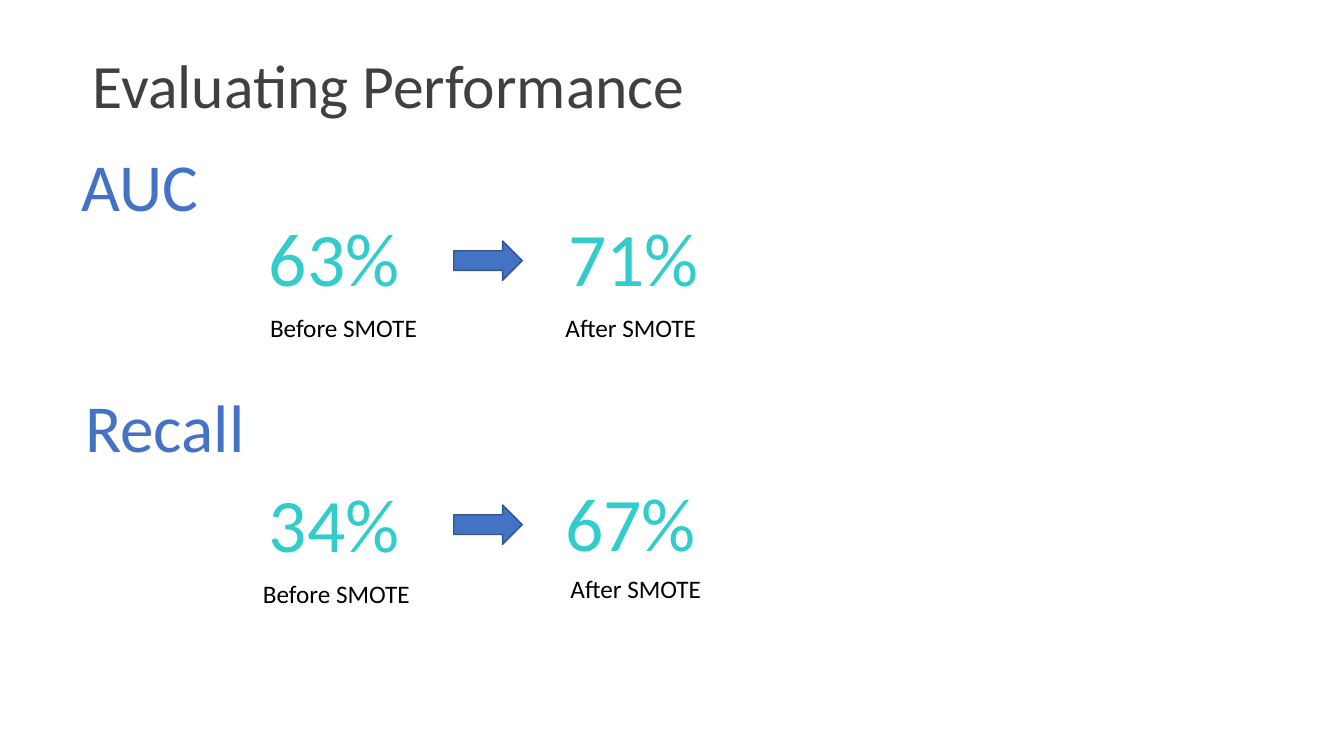
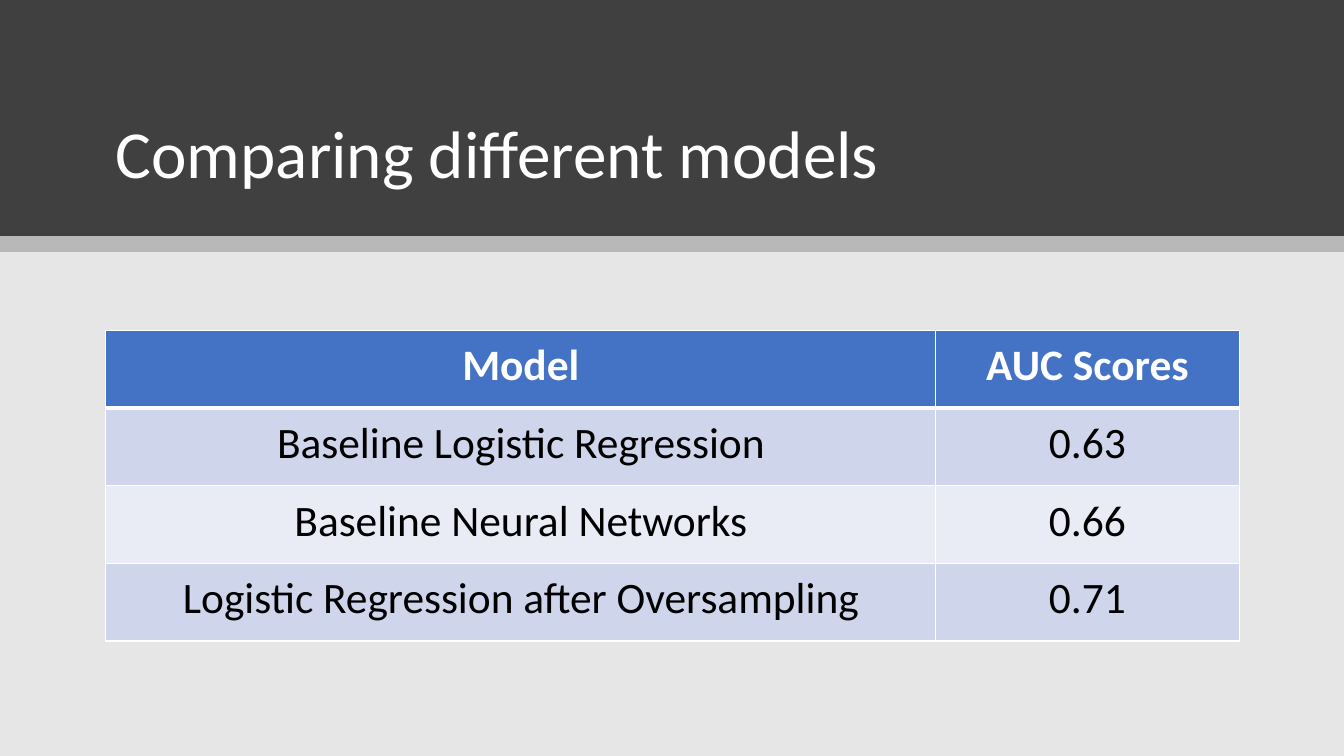
"""Build two slides on model performance before and after SMOTE."""
from dataclasses import dataclass

from lxml.etree import SubElement
from pptx import Presentation
from pptx.dml.color import RGBColor as RGB
from pptx.enum.shapes import MSO_SHAPE as Preset
from pptx.enum.text import MSO_ANCHOR as Anchor, PP_ALIGN as Align
from pptx.oxml.ns import qn
from pptx.util import Inches, Pt


@dataclass(frozen=True)
class Theme:
    font: str = "Calibri"
    dark: RGB = RGB(0x40, 0x40, 0x40)
    pale: RGB = RGB(0xE7, 0xE6, 0xE6)
    white: RGB = RGB(0xFF, 0xFF, 0xFF)
    black: RGB = RGB(0, 0, 0)
    blue: RGB = RGB(0x44, 0x72, 0xC4)
    outline: RGB = RGB(0x32, 0x54, 0x91)
    teal: RGB = RGB(0x33, 0xCC, 0xCC)
    row_odd: RGB = RGB(0xCF, 0xD5, 0xEA)
    row_even: RGB = RGB(0xE9, 0xEB, 0xF5)
    title: int = 44
    heading: int = 48
    score: int = 54
    caption: int = 18
    cell: int = 31


theme = Theme()


def write(frame, text, size, color, align=Align.LEFT, anchor=Anchor.TOP, spacing=None, bold=False):
    frame.word_wrap = True
    frame.vertical_anchor = anchor
    paragraph = frame.paragraphs[0]
    paragraph.alignment = align
    paragraph.line_spacing = spacing
    run = paragraph.add_run()
    run.text = text
    run.font.name = theme.font
    run.font.size = Pt(size)
    run.font.bold = bold
    run.font.color.rgb = color


def draw(slide, preset, box, fill, line=None):
    shape = slide.shapes.add_shape(preset, *map(Inches, box))
    shape.shadow.inherit = False
    shape.fill.solid()
    shape.fill.fore_color.rgb = fill
    if line is None:
        shape.line.fill.background()
    else:
        shape.line.color.rgb = line
        shape.line.width = Pt(1)
    return shape


deck = Presentation()
deck.slide_width, deck.slide_height = Inches(13.33), Inches(7.5)
blank = deck.slide_layouts[6]

performance = deck.slides.add_slide(blank)
title = performance.shapes.add_textbox(*map(Inches, (0.82, 0.37, 11.5, 1.01)))
write(title.text_frame, "Evaluating Performance", theme.title, theme.dark,
      anchor=Anchor.MIDDLE, spacing=0.9)

metrics = [
    ("AUC", (0.11, 1.38), 2.39, [
        ("63%", (2.56, 2.04), "Before SMOTE", (2.58, 3.05)),
        ("71%", (5.53, 2.04), "After SMOTE", (5.51, 3.05))]),
    ("Recall", (0.36, 3.77), 5.01, [
        ("34%", (2.56, 4.68), "Before SMOTE", (2.51, 5.69)),
        ("67%", (5.5, 4.67), "After SMOTE", (5.56, 5.64))]),
]
for metric, metric_at, arrow_top, results in metrics:
    labels = [(metric, metric_at, (2.55, 0.91), theme.heading, theme.blue, Align.CENTER)]
    for score, score_at, caption, caption_at in results:
        labels += [
            (score, score_at, (1.51, 1.01), theme.score, theme.teal, Align.CENTER),
            (caption, caption_at, (2.01, 0.4), theme.caption, theme.black, Align.LEFT)]
    for text, place, extent, size, color, align in labels:
        label = performance.shapes.add_textbox(*map(Inches, place + extent))
        write(label.text_frame, text, size, color, align)
    draw(performance, Preset.RIGHT_ARROW, (4.5, arrow_top, 0.68, 0.39), theme.blue, theme.outline)

comparison = deck.slides.add_slide(blank)
draw(comparison, Preset.RECTANGLE, (0, 0, 13.33, 7.5), theme.pale)
draw(comparison, Preset.RECTANGLE, (0, 0, 13.33, 2.34), theme.dark)
title = comparison.shapes.add_textbox(*map(Inches, (1.05, 0.47, 11.24, 1.49)))
write(title.text_frame, "Comparing different models", theme.heading, theme.white,
      anchor=Anchor.BOTTOM, spacing=0.9)
band = draw(comparison, Preset.RECTANGLE, (0, 2.34, 13.33, 0.16), theme.black)
band_color = band.fill._xPr.find(qn("a:solidFill"))[0]
SubElement(band_color, qn("a:alpha"), val="20000")

models = [
    ("Model", "AUC Scores"),
    ("Baseline Logistic Regression", "0.63"),
    ("Baseline Neural Networks", "0.66"),
    ("Logistic Regression after Oversampling", "0.71"),
]
scores = comparison.shapes.add_table(
    len(models), 2, *map(Inches, (1.05, 3.28, 11.24, 3.08))).table
for column, width in zip(scores.columns, (8.23, 3.01)):
    column.width = Inches(width)
for r, values in enumerate(models):
    scores.rows[r].height = Inches(0.77)
    header = r == 0
    fill = theme.blue if header else (theme.row_odd if r % 2 else theme.row_even)
    edges = {"L": 1, "R": 1, "T": 3 if r == 1 else 1, "B": 3 if header else 1}
    for c, value in enumerate(values):
        cell = scores.cell(r, c)
        cell.margin_left = cell.margin_right = Inches(0.17)
        cell.margin_top = cell.margin_bottom = Inches(0.09)
        write(cell.text_frame, value, theme.cell, theme.white if header else theme.black,
              Align.CENTER, bold=header)
        properties = cell._tc.get_or_add_tcPr()
        for side, weight in edges.items():
            edge = SubElement(properties, qn(f"a:ln{side}"), w=str(Pt(weight)))
            paint = SubElement(edge, qn("a:solidFill"))
            SubElement(paint, qn("a:srgbClr"), val=str(theme.white))
        cell.fill.solid()
        cell.fill.fore_color.rgb = fill

deck.save("out.pptx")
